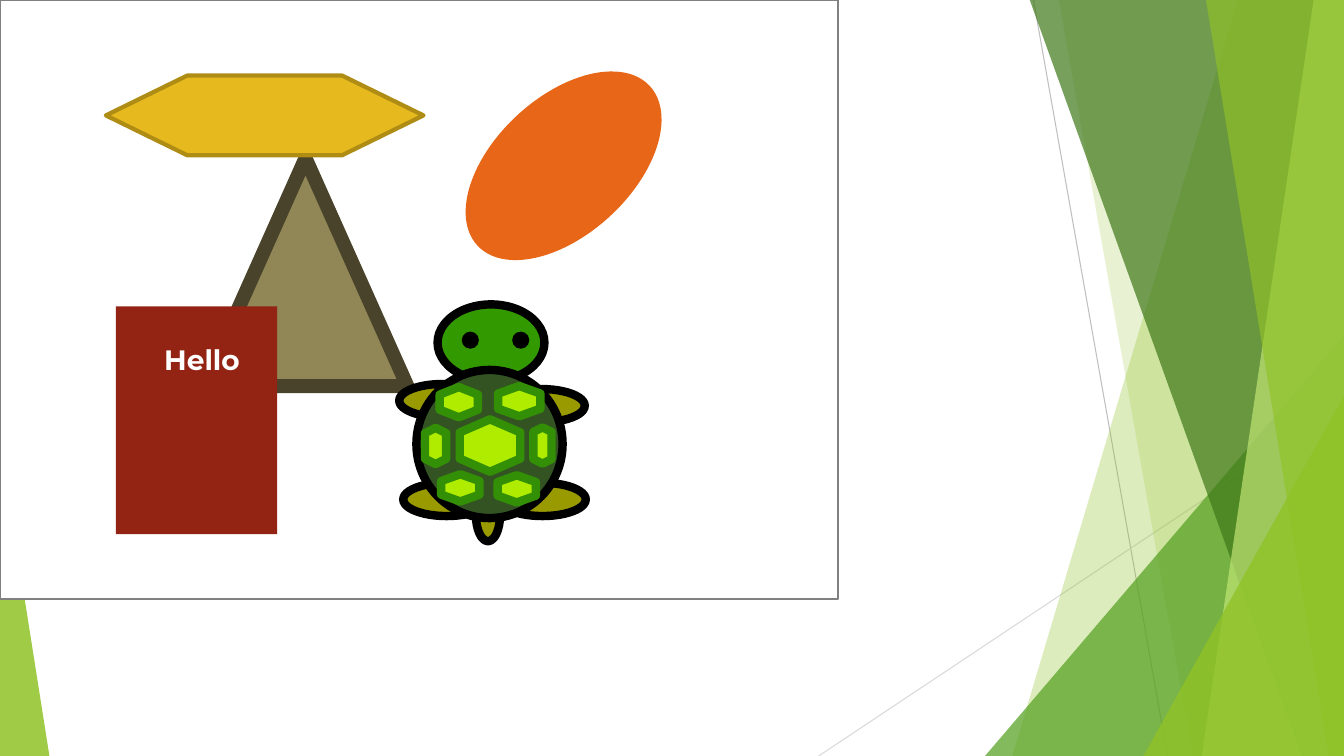
from dataclasses import dataclass

from lxml import etree
from pptx import Presentation
from pptx import util as u
from pptx.dml.color import RGBColor
from pptx.enum import shapes, text
from pptx.oxml import ns

SLIDE_W, SLIDE_H = 13.33, 7.5
BLEED = -0.01  # top edge of the facets
MSO = shapes.MSO_SHAPE


@dataclass(frozen=True)
class Theme:
    font: str = "Montserrat"
    label_size: int = 20
    white: str = "FFFFFF"
    black: str = "000000"
    steep_ray: str = "BFBFBF"
    shallow_ray: str = "D9D9D9"
    lime: str = "90C226"
    green: str = "54A021"
    forest: str = "3F7819"
    pale_lime: str = "C0E474"
    frame: str = "808080"
    khaki: str = "918655"
    khaki_edge: str = "48432A"
    brick: str = "932313"
    limb: str = "999900"
    head: str = "339900"
    shell: str = "335323"
    scute: str = "AFEC00"
    scute_edge: str = "338F05"
    orange: str = "E76618"
    gold: str = "E6B91E"
    gold_edge: str = "AF8C14"
    ray_width: float = 0.75
    frame_width: float = 1.5
    gold_width: float = 3
    turtle_width: float = 6
    khaki_width: float = 10


class Painter:
    def __init__(self, slide, theme):
        self.slide = slide
        self.theme = theme

    def paint(self, shape, fill, alpha=None, edge=None, width=0):
        shape.shadow.inherit = False
        shape.fill.solid()
        shape.fill.fore_color.rgb = RGBColor.from_string(fill)
        if alpha is not None:
            color = shape.fill._xPr.find(".//" + ns.qn("a:srgbClr"))
            etree.SubElement(color, ns.qn("a:alpha"), val=str(alpha * 1000))
        if edge:
            shape.line.color.rgb = RGBColor.from_string(edge)
            shape.line.width = u.Pt(width)
        else:
            shape.line.fill.background()

    def preset(self, kind, box, fill, alpha=None, edge=None, width=0, turn=0, adjust=None):
        shape = self.slide.shapes.add_shape(kind, *map(u.Inches, box))
        if adjust is not None:
            shape.adjustments[0] = adjust
        shape.rotation = turn
        self.paint(shape, fill, alpha, edge, width)

    def facet(self, top_x, bottom_x, fill, alpha):
        """Fill the slide from a slanted left edge to the right margin."""
        corners = [(SLIDE_W, BLEED), (SLIDE_W, SLIDE_H), (bottom_x, SLIDE_H)]
        outline = self.slide.shapes.build_freeform(u.Inches(top_x), u.Inches(BLEED))
        outline.add_line_segments([(u.Inches(x), u.Inches(y)) for x, y in corners])
        self.paint(outline.convert_to_shape(), fill, alpha)

    def ray(self, start, end, color):
        line = self.slide.shapes.add_connector(
            shapes.MSO_CONNECTOR.STRAIGHT, *map(u.Inches, start + end))
        line.line.color.rgb = RGBColor.from_string(color)
        line.line.width = u.Pt(self.theme.ray_width)
        etree.SubElement(line._element.spPr, ns.qn("a:effectLst"))

    def label(self, box, words):
        frame = self.slide.shapes.add_textbox(*map(u.Inches, box)).text_frame
        frame.word_wrap = True
        frame.auto_size = text.MSO_AUTO_SIZE.SHAPE_TO_FIT_TEXT
        run = frame.paragraphs[0].add_run()
        run.text = words
        run.font.name = self.theme.font
        run.font.size = u.Pt(self.theme.label_size)
        run.font.bold = True
        run.font.color.rgb = RGBColor.from_string(self.theme.white)


def draw_backdrop(painter):
    t = painter.theme
    painter.ray((10.25, 0), (11.58, SLIDE_H), t.steep_ray)
    painter.ray((SLIDE_W, 4.03), (8.12, SLIDE_H), t.shallow_ray)
    painter.facet(12.28, 10.04, t.lime, 30)
    painter.facet(10.5, 11.83, t.lime, 20)
    painter.preset(MSO.ISOSCELES_TRIANGLE, (9.77, 3.33, 3.56, 4.17), t.green, 72, adjust=1)
    painter.facet(10.21, 12.91, t.forest, 70)
    painter.facet(13.03, 11.92, t.pale_lime, 70)
    painter.facet(11.96, 13.18, t.lime, 65)
    painter.preset(MSO.ISOSCELES_TRIANGLE, (11.34, 3.93, 1.99, 3.57), t.lime, 80, adjust=1)
    painter.preset(MSO.ISOSCELES_TRIANGLE, (0, 4.39, 0.49, 3.11), t.lime, 85, adjust=0)


def draw_turtle(painter):
    t = painter.theme
    outline = dict(edge=t.black, width=t.turtle_width)

    # Legs and tail
    for left, top in [(4.95, 4.79), (4.94, 3.86), (3.96, 3.81), (4, 4.79)]:
        painter.preset(MSO.OVAL, (left, top, 0.86, 0.33), t.limb, **outline)
    painter.preset(MSO.OVAL, (4.72, 4.84, 0.24, 0.53), t.limb, **outline)

    # Head and shell
    painter.preset(MSO.OVAL, (4.34, 3.02, 1.06, 0.76), t.head, **outline)
    painter.preset(MSO.OVAL, (4.13, 3.67, 1.45, 1.47), t.shell, **outline)

    # Scutes: centre, upper pair, lower pair, sides
    scutes = [
        (4.6, 4.12, 0.52, 0.6),
        (5, 3.77, 0.3, 0.42), (4.4, 3.8, 0.3, 0.38),
        (4.43, 4.65, 0.27, 0.38), (4.99, 4.66, 0.27, 0.38),
        (5.2, 4.33, 0.36, 0.18), (4.14, 4.32, 0.36, 0.21),
    ]
    for scute in scutes:
        painter.preset(MSO.HEXAGON, scute, t.scute, edge=t.scute_edge,
                       width=t.turtle_width, turn=90)

    # Eyes
    for left in (5.08, 4.58):
        painter.preset(MSO.OVAL, (left, 3.29, 0.17, 0.17), t.black)


def main():
    deck = Presentation()
    deck.slide_width, deck.slide_height = u.Inches(SLIDE_W), u.Inches(SLIDE_H)
    t = Theme()
    painter = Painter(deck.slides.add_slide(deck.slide_layouts[6]), t)

    draw_backdrop(painter)

    # Canvas with the triangle and the greeting card
    painter.preset(MSO.RECTANGLE, (0, 0, 8.31, 5.94), t.white,
                   edge=t.frame, width=t.frame_width)
    painter.preset(MSO.ISOSCELES_TRIANGLE, (2.02, 1.57, 2.02, 2.26), t.khaki,
                   edge=t.khaki_edge, width=t.khaki_width)
    painter.preset(MSO.RECTANGLE, (1.15, 3.04, 1.6, 2.26), t.brick)
    painter.label((1.53, 3.35, 1.89, 0.44), "Hello")

    draw_turtle(painter)

    # Tilted oval and long hexagon
    painter.preset(MSO.OVAL, (4.91, 0.48, 1.36, 2.33), t.orange, turn=47.2)
    painter.preset(MSO.HEXAGON, (1.05, 0.75, 3.15, 0.79), t.gold, edge=t.gold_edge,
                   width=t.gold_width, adjust=1.02)

    deck.save("out.pptx")


if __name__ == "__main__":
    main()
